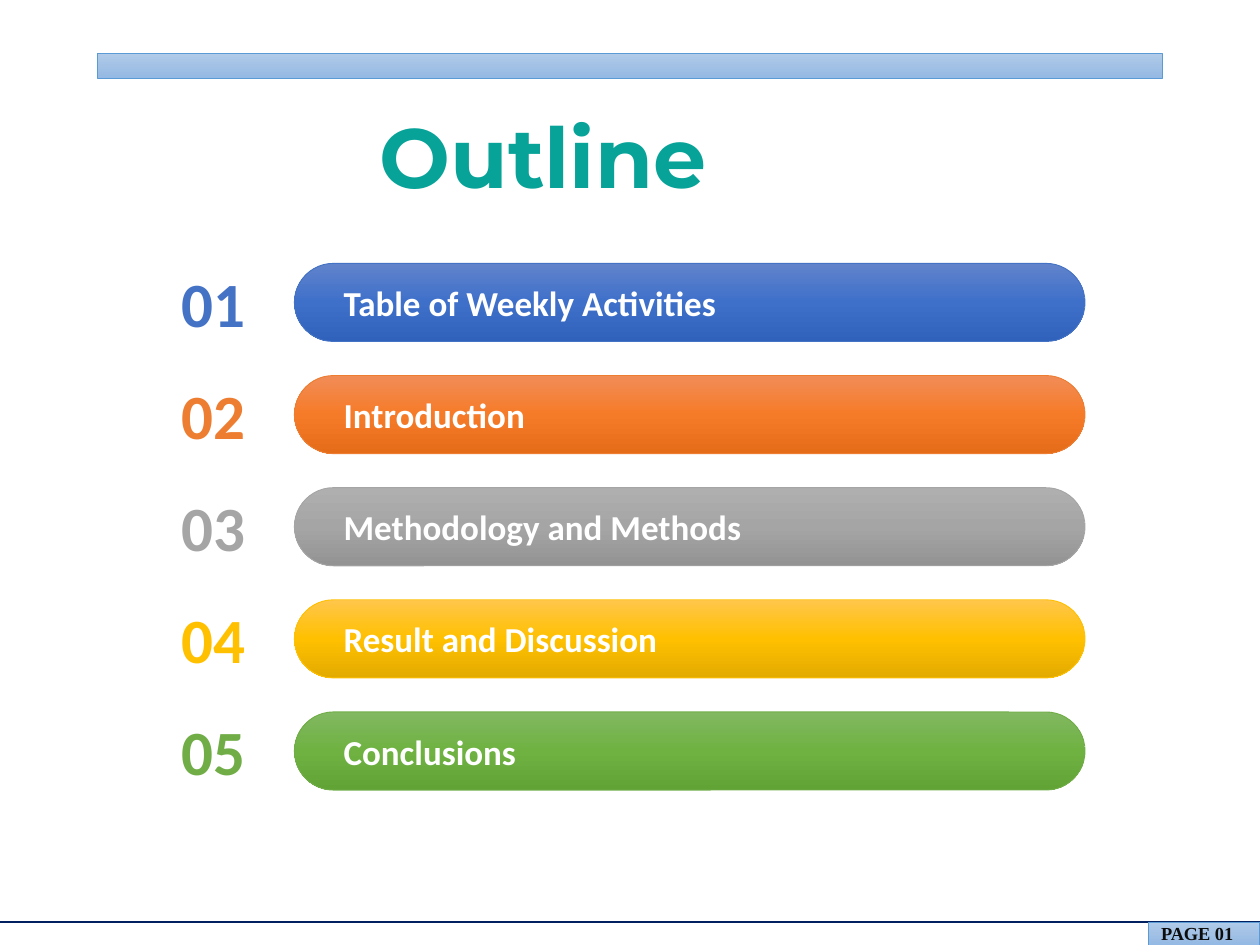
"""Build an outline slide with five numbered, colour-coded section bars."""
from copy import deepcopy
from dataclasses import dataclass

from pptx import Presentation
from pptx import util as u
from pptx.dml.color import RGBColor
from pptx.enum import shapes, text
from pptx.oxml import ns
from pptx.oxml import xmlchemy as xml


@dataclass(frozen=True)
class Box:
    left: float
    top: float
    width: float
    height: float

    def lengths(self) -> list[u.Pt]:
        return [u.Pt(side) for side in (self.left, self.top, self.width, self.height)]


@dataclass(frozen=True)
class Palette:
    line: str
    stops: tuple[str, str, str]


@dataclass(frozen=True)
class Style:
    font: str
    size: float
    colour: str


@dataclass(frozen=True)
class Section:
    heading: str
    palette: Palette


@dataclass(frozen=True)
class Theme:
    band: Palette = Palette("5B9BD5", ("B1CBE9", "A3C1E5", "93B9E4"))
    blue: Palette = Palette("4472C4", ("6183CB", "3E70CA", "3062BB"))
    orange: Palette = Palette("ED7D31", ("F18C57", "F67B28", "E56C19"))
    grey: Palette = Palette("A5A5A5", ("AFAFAF", "A5A5A5", "939393"))
    gold: Palette = Palette("FFC000", ("FFC64B", "FFC000", "E3AB00"))
    green: Palette = Palette("70AD47", ("81B861", "6FB242", "62A336"))
    footer_rule: str = "002060"
    title: Style = Style("Montserrat", 48, "07A398")
    page: Style = Style("Times New Roman", 10.5, "0D0D0D")
    heading: Style = Style("Calibri", 20, "FFFFFF")
    number_font: str = "Calibri"
    number_size: float = 36
    outline_width: float = 0.5
    rule_width: float = 1


THEME = Theme()
SLIDE_WIDTH, SLIDE_HEIGHT = 720, 540
FOOTER_TOP = 527
FIRST_ROW_TOP, ROW_PITCH = 146.9, 64.08
SECTIONS = (
    Section("Table of Weekly Activities", THEME.blue),
    Section("Introduction", THEME.orange),
    Section("Methodology and Methods", THEME.grey),
    Section("Result and Discussion", THEME.gold),
    Section("Conclusions", THEME.green),
)


def write(shape, words: str, style: Style, align=text.PP_ALIGN.LEFT,
          anchor=text.MSO_ANCHOR.MIDDLE, side_insets=(7.2, 7.2),
          wrap: bool = True, grow: bool = True) -> None:
    frame = shape.text_frame
    frame.text = words
    frame.word_wrap = wrap
    frame.auto_size = (text.MSO_AUTO_SIZE.SHAPE_TO_FIT_TEXT if grow
                       else text.MSO_AUTO_SIZE.NONE)
    frame.vertical_anchor = anchor
    frame.margin_left, frame.margin_right = map(u.Pt, side_insets)
    frame.margin_top = frame.margin_bottom = u.Pt(3.6)
    paragraph = frame.paragraphs[0]
    paragraph.alignment = align
    font = paragraph.runs[0].font
    font.name, font.size, font.bold = style.font, u.Pt(style.size), True
    font.color.rgb = RGBColor.from_string(style.colour)


def add_gradient_shape(slide, kind, box: Box, palette: Palette):
    shape = slide.shapes.add_shape(kind, *box.lengths())
    shape.shadow.inherit = False
    shape.fill.gradient()
    shape.fill.gradient_angle = 270
    stop_list = shape._element.spPr.find(".//" + ns.qn("a:gsLst"))
    stop_list.insert(1, deepcopy(stop_list[0]))
    for stop, position, colour in zip(shape.fill.gradient_stops, (0, 0.5, 1), palette.stops):
        stop.position = position
        stop.color.rgb = RGBColor.from_string(colour)
    shape.line.color.rgb = RGBColor.from_string(palette.line)
    shape.line.width = u.Pt(THEME.outline_width)
    return shape


def add_footer_rule(slide) -> None:
    rule = slide.shapes.add_connector(
        shapes.MSO_CONNECTOR.STRAIGHT,
        u.Pt(0), u.Pt(FOOTER_TOP), u.Pt(SLIDE_WIDTH), u.Pt(FOOTER_TOP))
    rule.line.color.rgb = RGBColor.from_string(THEME.footer_rule)
    rule.line.width = u.Pt(THEME.rule_width)
    rule._element.spPr.append(xml.OxmlElement("a:effectLst"))


def add_section(slide, index: int, section: Section) -> None:
    top = FIRST_ROW_TOP + index * ROW_PITCH
    number = slide.shapes.add_textbox(*Box(84.2, top, 75.6, 51.1).lengths())
    number_style = Style(THEME.number_font, THEME.number_size, section.palette.line)
    write(number, f"{index + 1:02}", number_style,
          align=text.PP_ALIGN.CENTER, side_insets=(8.64, 8.64))
    bar = add_gradient_shape(slide, shapes.MSO_SHAPE.ROUNDED_RECTANGLE,
                             Box(168.2, top + 3.6, 451.8, 44.64), section.palette)
    bar.adjustments[0] = 0.5
    write(bar, section.heading, THEME.heading, side_insets=(21.6, 7.2))


def main() -> None:
    deck = Presentation()
    deck.slide_width, deck.slide_height = u.Pt(SLIDE_WIDTH), u.Pt(SLIDE_HEIGHT)
    slide = deck.slides.add_slide(deck.slide_layouts[6])
    rectangle = shapes.MSO_SHAPE.RECTANGLE

    add_gradient_shape(slide, rectangle, Box(55.8, 30.5, 608.4, 14.4), THEME.band)
    add_footer_rule(slide)
    title = slide.shapes.add_textbox(*Box(207.4, 56.2, 205.9, 65.5).lengths())
    write(title, "Outline", THEME.title, align=text.PP_ALIGN.CENTER,
          anchor=text.MSO_ANCHOR.TOP, wrap=False)
    page = add_gradient_shape(
        slide, rectangle,
        Box(656.4, FOOTER_TOP, SLIDE_WIDTH - 656.4, SLIDE_HEIGHT - FOOTER_TOP), THEME.band)
    write(page, "PAGE 01", THEME.page, grow=False)
    for index, section in enumerate(SECTIONS):
        add_section(slide, index, section)

    deck.save("out.pptx")


if __name__ == "__main__":
    main()
